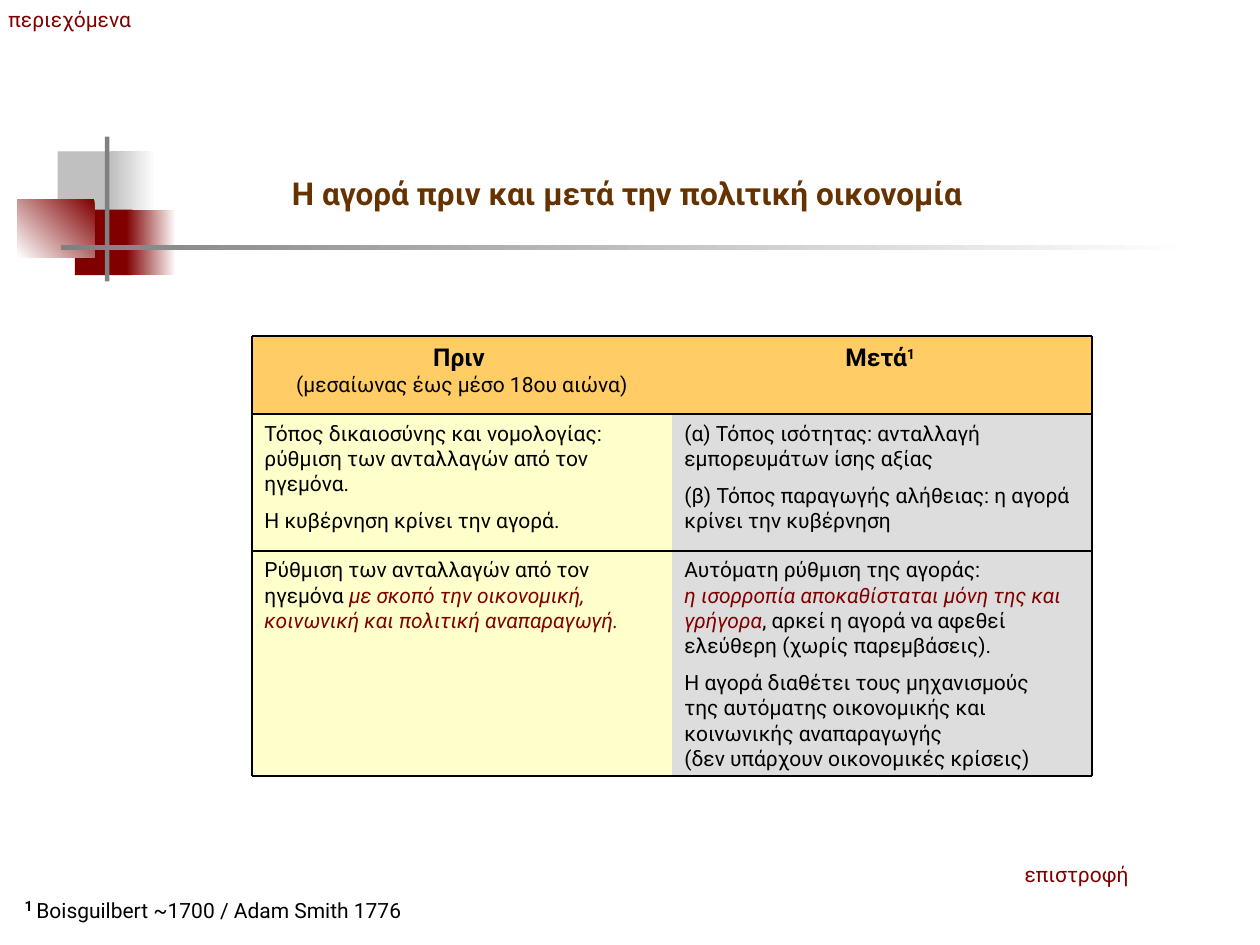
from lxml.etree import SubElement
from pptx import Presentation
from pptx.dml.color import RGBColor
from pptx.enum.shapes import MSO_CONNECTOR, MSO_SHAPE
from pptx.enum.text import MSO_ANCHOR, PP_ALIGN
from pptx.oxml.ns import qn
from pptx.util import Pt

COLORS = {
    "white": "FFFFFF", "black": "000000", "silver": "C0C0C0", "gray": "808080",
    "maroon": "800000", "brown": "663300", "orange": "FFCC66",
    "cream": "FFFFCC", "light_gray": "DDDDDD",
}
FONT = "Roboto"

presentation = Presentation()
presentation.slide_width = Pt(720)
presentation.slide_height = Pt(540)
slide = presentation.slides.add_slide(presentation.slide_layouts[6])


def add_run(paragraph, text, size=12, color="black", bold=False, italic=False, raised=False):
    """Add a run, turning each newline into a line break."""
    for index, line in enumerate(text.split("\n")):
        if index:
            paragraph.add_line_break()
        if not line:
            continue
        run = paragraph.add_run()
        run.text = line
        run.font.name = FONT
        run.font.size = Pt(size)
        run.font.bold = bold
        run.font.italic = italic
        run.font.color.rgb = RGBColor.from_string(COLORS[color])
        if raised:
            run._r.get_or_add_rPr().set("baseline", "30000")


def add_rectangle(left, top, width, height, colors, angle=0):
    """Add a borderless rectangle; two colours make a gradient."""
    shape = slide.shapes.add_shape(
        MSO_SHAPE.RECTANGLE, Pt(left), Pt(top), Pt(width), Pt(height))
    shape.shadow.inherit = False
    shape.line.fill.background()
    if len(colors) == 1:
        shape.fill.solid()
        shape.fill.fore_color.rgb = RGBColor.from_string(COLORS[colors[0]])
    else:
        shape.fill.gradient()
        shape.fill.gradient_angle = angle
        for stop, color, position in zip(shape.fill.gradient_stops, colors, (0, 1)):
            stop.color.rgb = RGBColor.from_string(COLORS[color])
            stop.position = position
    return shape


# Corner ornament: left, top, width, height, colours, gradient angle
ornament = [
    (33, 86.5, 34.5, 37.5, ["silver"]),
    (63.5, 86.5, 25.5, 37.5, ["white", "silver"], 180),
    (42.75, 119.75, 33, 37.5, ["maroon"]),
    (72, 119.75, 28.5, 37.5, ["white", "maroon"], 180),
    (10, 114, 44, 33, ["maroon", "white"], 225),
    (60, 78, 2.5, 82.75, ["gray"]),
    (34.75, 140.25, 648, 2.5, ["white", "gray"], 180),
]
for part in ornament:
    add_rectangle(*part)

# Title, navigation labels and footnote
labels = [
    (-2.25, 0, 89.5, 21.75, [("περιεχόμενα", dict(color="maroon"))]),
    (578.4, 489, 76, 21.75, [("επιστροφή", dict(color="maroon"))]),
    (159.75, 96, 440.5, 29, [("Η αγορά πριν και μετά την πολιτική οικονομία",
                              dict(size=18, color="brown", bold=True))]),
    (7, 507.25, 237, 24.25, [("1 ", dict(size=14, bold=True, raised=True)),
                             ("Boisguilbert ~1700 / Adam Smith 1776", {})]),
]
for left, top, width, height, runs in labels:
    text_box = slide.shapes.add_textbox(Pt(left), Pt(top), Pt(width), Pt(height))
    text_box.text_frame.word_wrap = True
    for text, style in runs:
        add_run(text_box.text_frame.paragraphs[0], text, **style)

# Comparison grid: rows of cells, cells of paragraphs, paragraphs of runs
heading = dict(size=14, bold=True)
emphasis = dict(color="maroon", italic=True)
rows = [
    [
        [[("Πριν \n", heading), ("(μεσαίωνας έως μέσο 18ου αιώνα)", {})]],
        [[("Μετά", heading), ("1 ", dict(heading, raised=True))]],
    ],
    [
        [[("Τόπος δικαιοσύνης και νομολογίας: ρύθμιση των ανταλλαγών από τον ηγεμόνα.", {})],
         [("Η κυβέρνηση κρίνει την αγορά.", {})]],
        [[("(α) Τόπος ισότητας: ανταλλαγή εμπορευμάτων ίσης αξίας", {})],
         [("(β) Τόπος παραγωγής αλήθειας: η αγορά κρίνει την κυβέρνηση", {})]],
    ],
    [
        [[("Ρύθμιση των ανταλλαγών από τον ηγεμόνα ", {}),
          ("με σκοπό την οικονομική, κοινωνική και πολιτική αναπαραγωγή.", emphasis)]],
        [[("Αυτόματη ρύθμιση της αγοράς: \n", {}),
          ("η ισορροπία αποκαθίσταται μόνη της και γρήγορα", emphasis),
          (", αρκεί η αγορά να αφεθεί ελεύθερη (χωρίς παρεμβάσεις).", {})],
         [("Η αγορά διαθέτει τους μηχανισμούς \nτης αυτόματης οικονομικής και "
           "κοινωνικής αναπαραγωγής\n(δεν υπάρχουν οικονομικές κρίσεις)", {})]],
    ],
]
row_edges = [192, 236.5, 314.75, 443.5]
column_edges = [144, 384, 624]
for row_index, cells in enumerate(rows):
    top, bottom = row_edges[row_index:row_index + 2]
    for column_index, paragraphs in enumerate(cells):
        left, right = column_edges[column_index:column_index + 2]
        body_color = ("cream", "light_gray")[column_index]
        cell = add_rectangle(left, top, right - left, bottom - top,
                             ["orange" if row_index == 0 else body_color])
        frame = cell.text_frame
        frame.word_wrap = True
        frame.vertical_anchor = MSO_ANCHOR.TOP
        for index, runs in enumerate(paragraphs):
            paragraph = frame.add_paragraph() if index else frame.paragraphs[0]
            paragraph.space_before = Pt(6.8 if index else 3)
            paragraph.alignment = PP_ALIGN.CENTER if row_index == 0 else PP_ALIGN.LEFT
            for text, style in runs:
                add_run(paragraph, text, **style)

# Grid rules: every row edge and the two outer sides
left, right = column_edges[0], column_edges[-1]
top, bottom = row_edges[0], row_edges[-1]
rules = [(left, y, right, y) for y in row_edges]
rules += [(x, top, x, bottom) for x in (left, right)]
for ends in rules:
    rule = slide.shapes.add_connector(MSO_CONNECTOR.STRAIGHT, *map(Pt, ends))
    rule.line.color.rgb = RGBColor.from_string(COLORS["black"])
    rule.line.width = Pt(1)
    SubElement(rule._element.spPr, qn("a:effectLst"))

presentation.save("out.pptx")
